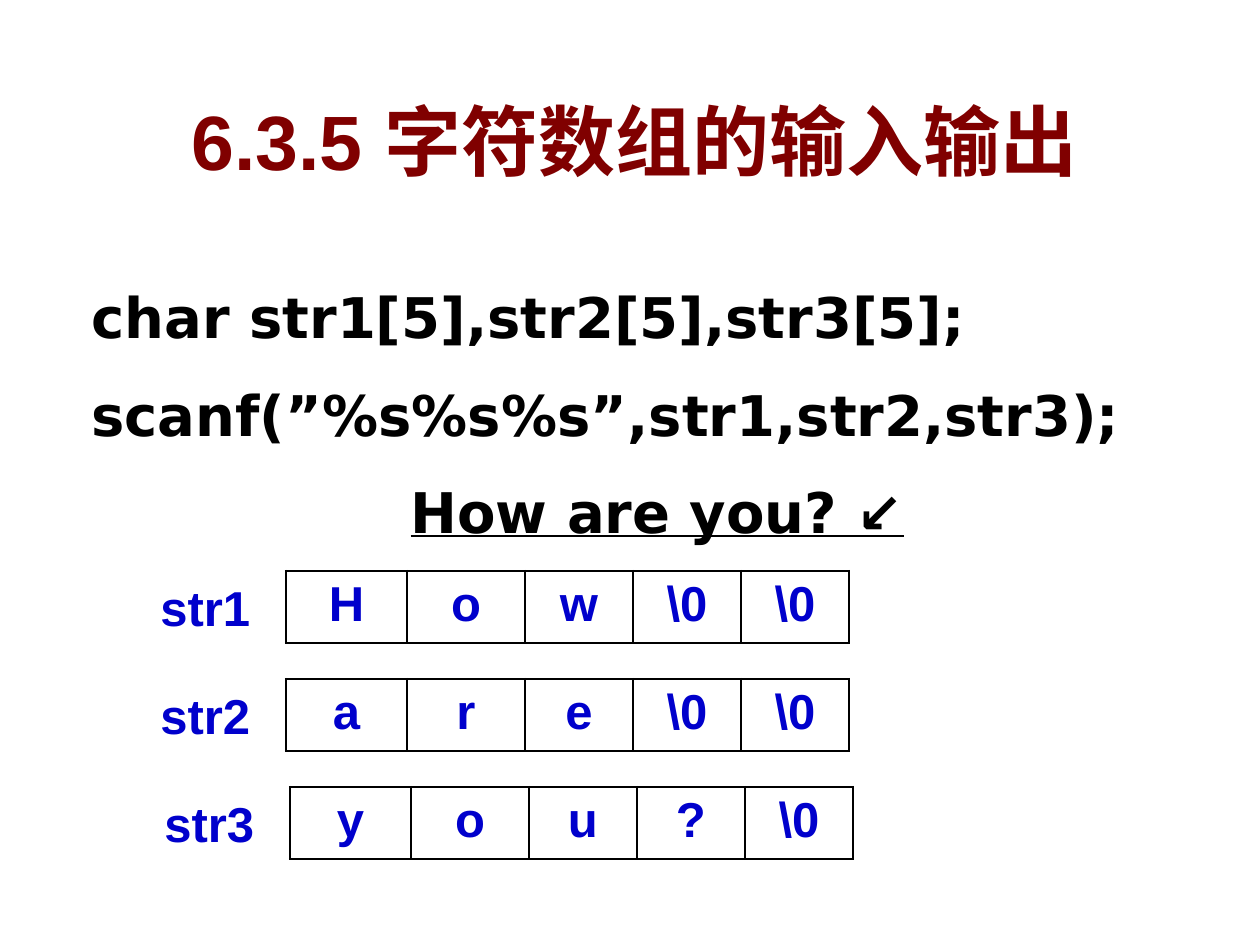
from lxml import etree
from pptx import Presentation
from pptx import util as u
from pptx.dml.color import RGBColor
from pptx.enum import text as t
from pptx.oxml import parse_xml
from pptx.oxml.ns import nsdecls, qn

PX = 914400 / 126
BLACK, WHITE, MAROON, BLUE = "000000", "FFFFFF", "800000", "0000CC"
LEFT, CENTER = t.PP_ALIGN.LEFT, t.PP_ALIGN.CENTER
TOP, MIDDLE, BOTTOM = t.MSO_ANCHOR.TOP, t.MSO_ANCHOR.MIDDLE, t.MSO_ANCHOR.BOTTOM

TITLE = "6.3.5 字符数组的输入输出"
CODE = [
    ("char str1[5],str2[5],str3[5];", LEFT, False),
    ("scanf(”%s%s%s”,str1,str2,str3);", LEFT, False),
    ("How are you? ↙", CENTER, True),
]
ARRAYS = [
    ("str1", 286, ["H", "o", "w", r"\0", r"\0"]),
    ("str2", 286, ["a", "r", "e", r"\0", r"\0"]),
    ("str3", 290, ["y", "o", "u", "?", r"\0"]),
]
COLUMNS = [121, 118, 108, 108, 108]
ARRAY_TOP, ARRAY_PITCH, ROW_HEIGHT = 571, 108, 72
LABEL_OFFSET, LABEL_WIDTH = 138, 128


def px(value):
    return u.Emu(round(value * PX))


def color(value):
    return RGBColor.from_string(value)


def write(paragraph, content, size=28, font="Arial", fill=BLUE, align=LEFT,
          underline=False, shadow=False):
    run = paragraph.add_run()
    run.text = content
    run.font.size = u.Pt(size)
    run.font.bold = True
    run.font.underline = underline or None
    run.font.color.rgb = color(fill)
    if shadow:
        run.font.fill._xPr.append(parse_xml(
            f'<a:effectLst {nsdecls("a")}><a:outerShdw dist="38100" dir="2700000">'
            '<a:srgbClr val="C0C0C0"/></a:outerShdw></a:effectLst>'))
    run.font.name = font
    paragraph.alignment = align


def add_box(slide, left, top, width, height, anchor=TOP):
    frame = slide.shapes.add_textbox(*map(px, (left, top, width, height))).text_frame
    frame.word_wrap = True
    frame.vertical_anchor = anchor
    return frame


def border(cell):
    properties = cell._tc.get_or_add_tcPr()
    for index, side in enumerate(("lnL", "lnR", "lnT", "lnB")):
        line = etree.Element(qn(f"a:{side}"), w=str(u.Pt(1.47)))
        fill = etree.SubElement(line, qn("a:solidFill"))
        etree.SubElement(fill, qn("a:srgbClr"), val=BLACK)
        properties.insert(index, line)


def add_array(slide, label, left, top, values):
    table = slide.shapes.add_table(
        1, len(values), px(left), px(top), px(sum(COLUMNS)), px(ROW_HEIGHT)).table
    table.first_row = table.horz_banding = False
    table.rows[0].height = px(ROW_HEIGHT)
    for column, width in zip(table.columns, COLUMNS):
        column.width = px(width)
    for cell, value in zip(table.rows[0].cells, values):
        cell.fill.solid()
        cell.fill.fore_color.rgb = color(WHITE)
        border(cell)
        write(cell.text_frame.paragraphs[0], value, align=CENTER)
    frame = add_box(slide, left - LABEL_OFFSET, top, LABEL_WIDTH, ROW_HEIGHT, BOTTOM)
    write(frame.paragraphs[0], label)


def main():
    """Build the slide on string input into character arrays."""
    presentation = Presentation()
    presentation.slide_width, presentation.slide_height = px(1260), px(945)
    slide = presentation.slides.add_slide(presentation.slide_layouts[6])

    title = add_box(slide, 39, 87, 1191, 106, MIDDLE)
    write(title.paragraphs[0], TITLE, size=44, fill=MAROON, align=CENTER, shadow=True)

    code = add_box(slide, 79, 263, 1157, 367)
    for index, (content, align, underline) in enumerate(CODE):
        paragraph = code.add_paragraph() if index else code.paragraphs[0]
        paragraph.line_spacing = 1.2
        if index:
            paragraph.space_before = u.Pt(9.6)
        write(paragraph, content, size=32, font="DejaVu Sans", fill=BLACK,
              align=align, underline=underline)

    for index, (label, left, values) in enumerate(ARRAYS):
        add_array(slide, label, left, ARRAY_TOP + index * ARRAY_PITCH, values)

    presentation.save("out.pptx")


if __name__ == "__main__":
    main()
